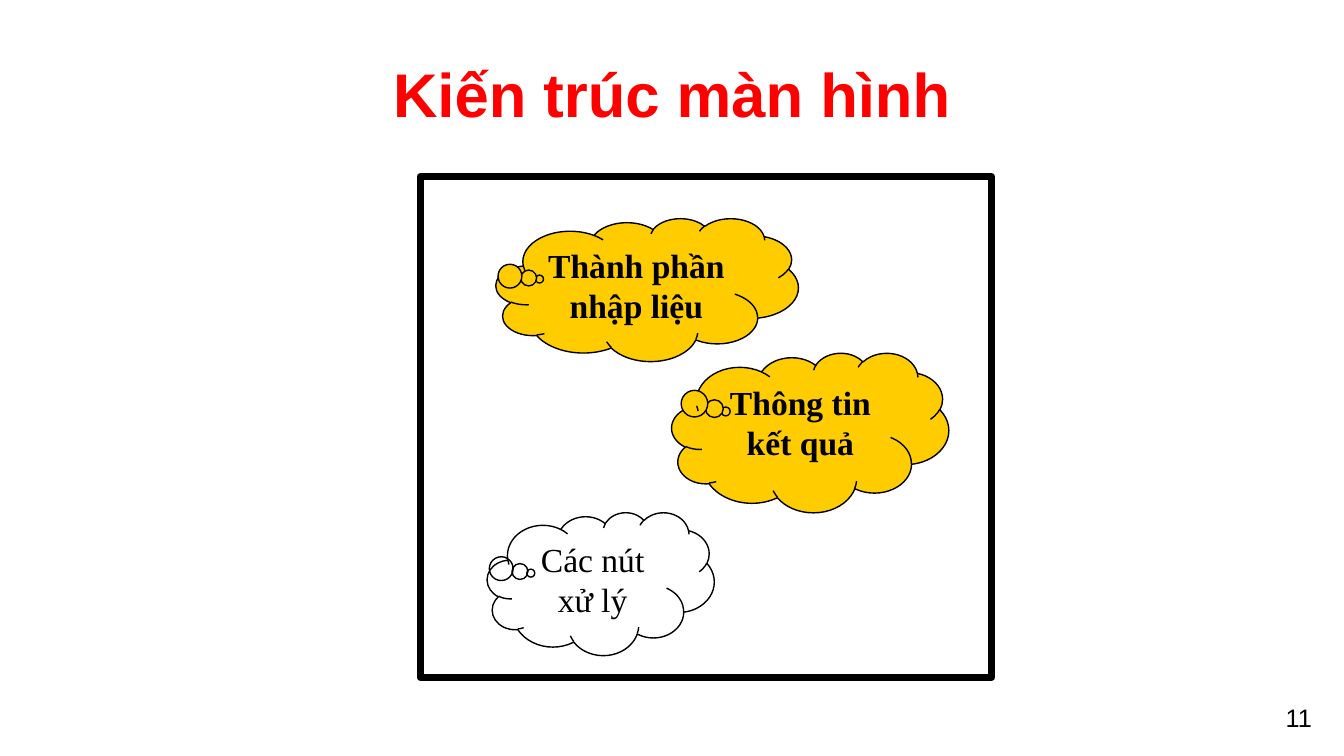
"""Build the slide on screen architecture: one screen frame with three clouds."""
from dataclasses import dataclass

from pptx import Presentation
from pptx.dml.color import RGBColor
from pptx.enum import shapes, text
from pptx.util import Cm, Pt


@dataclass(frozen=True)
class Theme:
    heading: RGBColor = RGBColor(0xFF, 0x00, 0x00)
    ink: RGBColor = RGBColor(0x00, 0x00, 0x00)
    cloud: RGBColor = RGBColor(0xFF, 0xCC, 0x00)
    sans: str = "Arial"
    serif: str = "Times New Roman"
    heading_size: Pt = Pt(44)
    cloud_size: Pt = Pt(24)
    number_size: Pt = Pt(18)
    frame_line: Pt = Pt(5)
    cloud_line: Pt = Pt(1)


def write(shape, words, font_name, size, color, bold=False):
    """Put one centred, wrapped paragraph into a shape."""
    shape.text_frame.word_wrap = True
    paragraph = shape.text_frame.paragraphs[0]
    paragraph.text = words
    paragraph.alignment = text.PP_ALIGN.CENTER
    paragraph.font.name = font_name
    paragraph.font.size = size
    paragraph.font.bold = bold
    paragraph.font.color.rgb = color


def outline(kind, box, width, fill=None):
    """Add a black-lined shape without shadow, filled only if a colour is given."""
    shape = slide.shapes.add_shape(kind, *map(Cm, box))
    shape.shadow.inherit = False
    shape.line.color.rgb = theme.ink
    shape.line.width = width
    if fill is None:
        shape.fill.background()
    else:
        shape.fill.solid()
        shape.fill.fore_color.rgb = fill
    return shape


theme = Theme()
presentation = Presentation()
presentation.slide_width = Cm(33.87)
presentation.slide_height = Cm(19.05)
slide = presentation.slides.add_slide(presentation.slide_layouts[6])

page_number = slide.shapes.add_textbox(Cm(31.6), Cm(17.58), Cm(2.26), Cm(1.02))
write(page_number, "11", theme.sans, theme.number_size, theme.ink)

heading = slide.shapes.add_textbox(Cm(1.7), Cm(0.76), Cm(30.48), Cm(3.18))
heading.text_frame.vertical_anchor = text.MSO_ANCHOR.MIDDLE
write(heading, "Kiến trúc màn hình", theme.sans, theme.heading_size, theme.heading, True)

outline(shapes.MSO_SHAPE.RECTANGLE, (10.59, 4.45, 14.4, 12.62), theme.frame_line)

screen_parts = [
    ("Thành phần nhập liệu", (12.5, 5.5, 7.62, 3.6), (-0.356, -0.074), theme.cloud),
    ("Thông tin kết quả", (16.93, 8.89, 6.98, 4.02), (-0.305, -0.132), theme.cloud),
    ("Các nút xử lý", (12.28, 12.91, 5.72, 3.6), (-0.308, -0.074), None),
]
for words, box, tail, fill in screen_parts:
    cloud = outline(shapes.MSO_SHAPE.CLOUD_CALLOUT, box, theme.cloud_line, fill)
    cloud.adjustments[0], cloud.adjustments[1] = tail
    cloud.text_frame.vertical_anchor = text.MSO_ANCHOR.TOP
    write(cloud, words, theme.serif, theme.cloud_size, theme.ink, fill is not None)

presentation.save("out.pptx")
